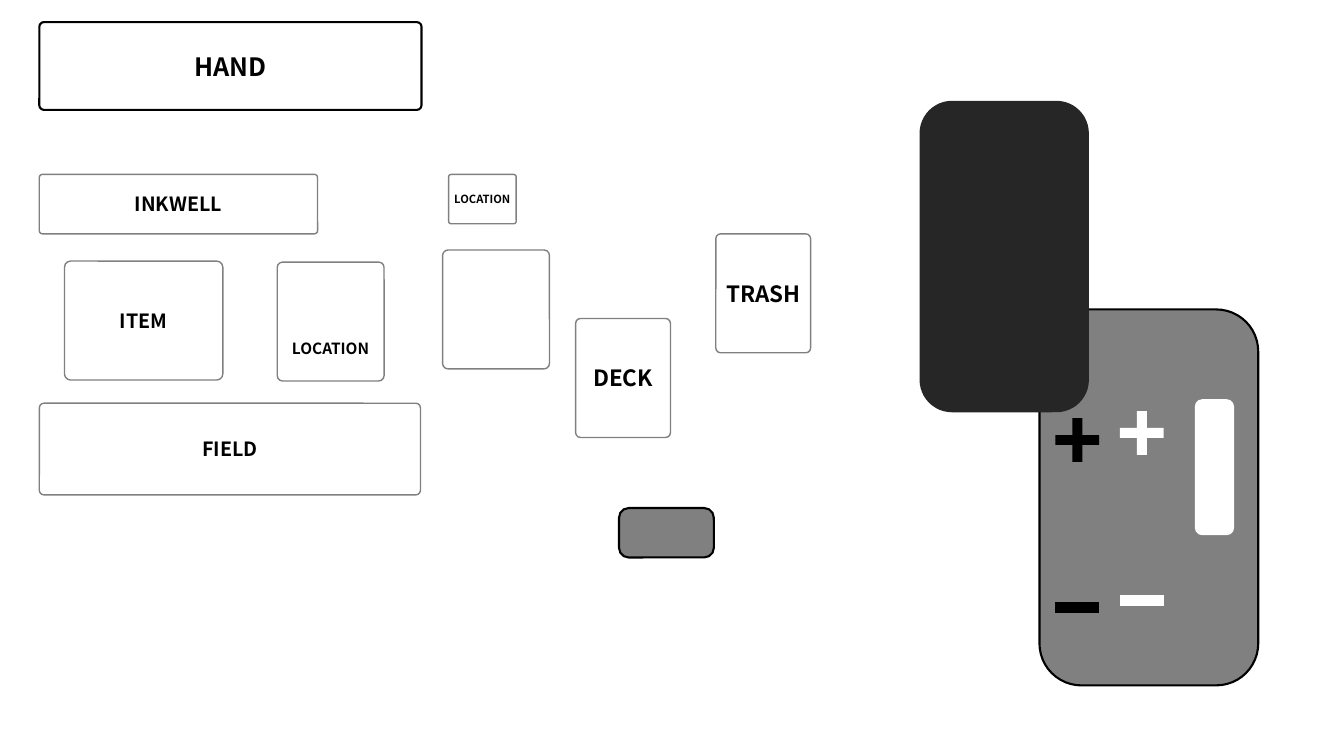
import pptx
import pptx.dml.color
import pptx.enum.shapes
import pptx.enum.text
import pptx.util

Inches = pptx.util.Inches
Pt = pptx.util.Pt
RGBColor = pptx.dml.color.RGBColor
Kind = pptx.enum.shapes.MSO_SHAPE

BLACK = RGBColor(0x00, 0x00, 0x00)
WHITE = RGBColor(0xFF, 0xFF, 0xFF)
GRAY = RGBColor(0x80, 0x80, 0x80)
CHARCOAL = RGBColor(0x26, 0x26, 0x26)

FONT = "Noto Sans CJK JP"
ROUND, SLIGHT = 0.192, 0.051
WIDE_INSETS = (0.1, 0.05, 0.1, 0.05)
CARD_INSETS = (0.04, 0.05, 0.04, 0.05)
TIGHT_INSETS = (0, 0.05, 0, 0.05)
LOWERED_INSETS = (0.1, 0.59, 0.1, 0.05)

COUNTER_PANEL = (10.31, 3.07, 2.17, 3.73)
ZONES = [
    ("HAND", (0.39, 0.22, 3.79, 0.87), 18, WIDE_INSETS, BLACK, 1.5),
    ("TRASH", (7.1, 2.32, 0.94, 1.18), 16, CARD_INSETS, GRAY, 1),
    ("INKWELL", (0.39, 1.73, 2.76, 0.59), 14, WIDE_INSETS, GRAY, 1),
    ("DECK", (5.71, 3.16, 0.94, 1.18), 16, CARD_INSETS, GRAY, 1),
    ("FIELD", (0.39, 4, 3.78, 0.91), 14, WIDE_INSETS, GRAY, 1),
    ("LOCATION", (2.75, 2.6, 1.06, 1.18), 11, LOWERED_INSETS, GRAY, 1),
    ("ITEM", (0.64, 2.59, 1.57, 1.18), 14, WIDE_INSETS, GRAY, 1),
    ("LOCATION", (4.45, 1.73, 0.67, 0.49), 8, TIGHT_INSETS, GRAY, 1),
    ("", (4.39, 2.48, 1.06, 1.18), 14, WIDE_INSETS, GRAY, 1),
]
BUTTON = (6.14, 5.04, 0.94, 0.49)
DARK_PANEL = (9.12, 1, 1.68, 3.09)
SLIDER = (11.85, 3.96, 0.39, 1.35)
SIGN_PAIRS = [(11.03, 4, WHITE), (10.39, 4.07, BLACK)]
SIGN_SIZE, MINUS_HEIGHT, MINUS_DROP = 0.59, 0.47, 1.72


def set_all(target, values):
    for name, value in values.items():
        setattr(target, name, value)


def add_shape(page, kind, place, fill=None, line=None, weight=1.5, corner=None):
    shape = page.shapes.add_shape(kind, *map(Inches, place))
    shape.shadow.inherit = False
    if corner is not None:
        shape.adjustments[0] = corner
    if fill is None:
        shape.fill.background()
    else:
        shape.fill.solid()
        shape.fill.fore_color.rgb = fill
    if line is None:
        shape.line.fill.background()
    else:
        shape.line.color.rgb = line
        shape.line.width = Pt(weight)
    return shape


def add_label(box, text, size, insets):
    left, top, right, bottom = map(Inches, insets)
    set_all(box.text_frame, {
        "margin_left": left, "margin_top": top,
        "margin_right": right, "margin_bottom": bottom,
        "word_wrap": True,
        "vertical_anchor": pptx.enum.text.MSO_ANCHOR.MIDDLE,
    })
    para = box.text_frame.paragraphs[0]
    para.alignment = pptx.enum.text.PP_ALIGN.CENTER
    span = para.add_run()
    span.text = text
    set_all(span.font, {"name": FONT, "size": Pt(size), "bold": True})
    span.font.color.rgb = BLACK


def main():
    deck = pptx.Presentation()
    set_all(deck, {"slide_width": Inches(13.33), "slide_height": Inches(7.5)})
    page = deck.slides.add_slide(deck.slide_layouts[6])

    for place, fill, line in [
        (COUNTER_PANEL, GRAY, BLACK),
        (BUTTON, GRAY, BLACK),
        (DARK_PANEL, CHARCOAL, None),
        (SLIDER, WHITE, None),
    ]:
        add_shape(page, Kind.ROUNDED_RECTANGLE, place, fill, line, corner=ROUND)

    for left, top, color in SIGN_PAIRS:
        add_shape(page, Kind.MATH_PLUS, (left, top, SIGN_SIZE, SIGN_SIZE),
                  color, corner=0.167)
        add_shape(page, Kind.MATH_MINUS,
                  (left, top + MINUS_DROP, SIGN_SIZE, MINUS_HEIGHT), color)

    for text, place, size, insets, line, weight in ZONES:
        box = add_shape(page, Kind.ROUNDED_RECTANGLE, place, None, line, weight, SLIGHT)
        if text:
            add_label(box, text, size, insets)

    deck.save("out.pptx")


if __name__ == "__main__":
    main()
